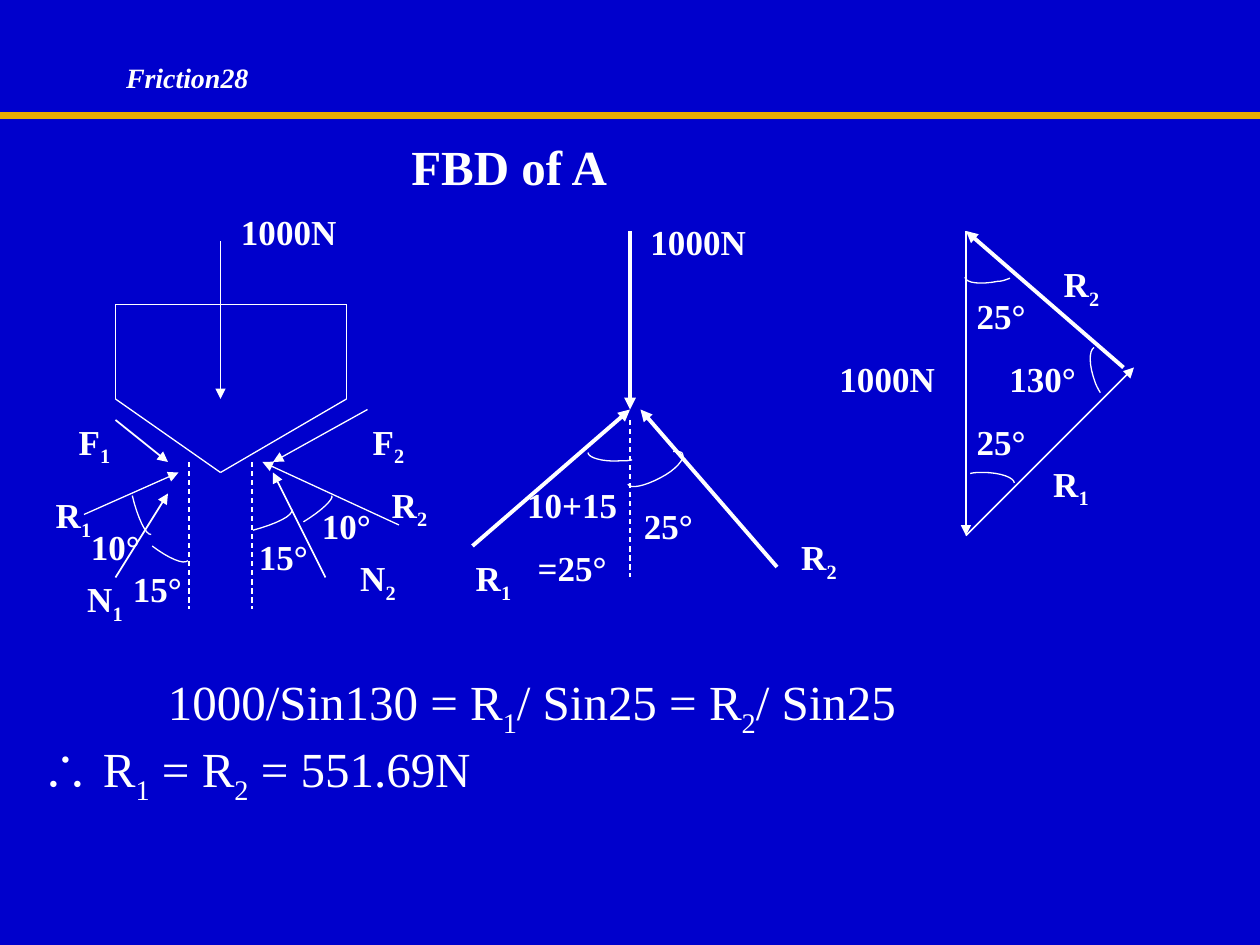
from lxml import etree
from pptx import Presentation
from pptx.dml.color import RGBColor
from pptx.enum.dml import MSO_LINE
from pptx.enum.shapes import MSO_CONNECTOR
from pptx.enum.text import MSO_ANCHOR, MSO_AUTO_SIZE, PP_ALIGN
from pptx.oxml.ns import qn
from pptx.util import Cm, Pt

STRAIGHT = MSO_CONNECTOR.STRAIGHT
DASH = MSO_LINE.DASH
LEFT, CENTER = PP_ALIGN.LEFT, PP_ALIGN.CENTER
COLORS = {"background": "0000CC", "ink": "FFFFFF", "rule": "E8AB00"}
FONT = "Times New Roman"
GRID = Cm(2.54) / 12  # every position below counts in twelfths of an inch
THIN, MEDIUM, THICK = 0.75, 1, 2.25

TITLE = "FBD of A"
HEADER = "Friction28"
# An underscore lowers the character that follows it
EQUATION = ["1000/Sin130 = R_1/ Sin25 = R_2/ Sin25", "∴ R_1 = R_2 = 551.69N"]

WEDGE = [(11, 38), (11, 29), (33, 29), (33, 38), (21, 45)]

# start, end, width
ARROWS = [
    ((21, 23), (21, 38), THIN),
    ((8, 49), (17, 45), THIN),
    ((38, 50), (25, 44), THIN),
    ((35, 39), (26, 44), THIN),
    ((11, 40), (16, 44), MEDIUM),
    ((31, 55), (26, 45), MEDIUM),
    ((11, 55), (11, 55), MEDIUM),
    ((11, 55), (16, 47), MEDIUM),
    ((60, 22), (60, 39), THICK),
    ((45, 52), (60, 39), THICK),
    ((74, 54), (61, 39), THICK),
    ((107, 35), (92, 22), THICK),
    ((92, 51), (108, 35), MEDIUM),
    ((92, 22), (92, 51), MEDIUM),
]
VERTICALS = [(18, 44, 58), (24, 44, 58), (60, 40, 55)]  # x, top, bottom

# Angle marks: a start point, then three points for each cubic curve
ARCS = [
    [(14.4, 50.9), (13.9, 51), (13.1, 49.3), (12.6, 47.2)],
    [(17.9, 53.4), (17.5, 53.8), (16.1, 53.2), (14.5, 52)],
    [(27.8, 48.5), (28, 49.1), (26.3, 49.9), (24.1, 50.5)],
    [(31.6, 47.2), (31.8, 47.5), (30.7, 48.6), (28.9, 49.7)],
    [(56, 43.1), (56, 43.6), (57.4, 44), (59, 43.9),
     (59.4, 43.9), (59.9, 43.9), (60.2, 43.8)],
    [(59.8, 46.1), (60, 46.6), (61.4, 46.3), (62.9, 45.5),
     (64.3, 44.8), (65.3, 43.7), (65, 43.2),
     (64.9, 43), (64.6, 43), (64.1, 43)],
    [(96.6, 46), (96.6, 45.5), (95.3, 45), (93.6, 45),
     (93.2, 45), (92.8, 45), (92.4, 45.1)],
    [(91.9, 26.4), (92, 27), (93.5, 27.1), (95, 26.8),
     (95.5, 26.8), (95.9, 26.6), (96.2, 26.5)],
    [(104.2, 33.1), (103.7, 33.4), (103.7, 34.8), (104.3, 36.4),
     (104.4, 36.7), (104.6, 37.1), (104.8, 37.4)],
]

# left, top, width, lines
LABELS = [
    (22, 20, 11, ["1000N"]),
    (12, 54, 6, ["15°"]),
    (8, 50, 6, ["10°"]),
    (24, 51, 6, ["15°"]),
    (30, 48, 6, ["10°"]),
    (33, 53, 6, ["N_2"]),
    (36, 46, 6, ["R_2"]),
    (34, 40, 6, ["F_2"]),
    (6, 40, 6, ["F_1"]),
    (4, 47, 6, ["R_1"]),
    (7, 55, 6, ["N_1"]),
    (61, 21, 11, ["1000N"]),
    (44, 53, 6, ["R_1"]),
    (75, 51, 6, ["R_2"]),
    (49, 46, 11, ["10+15", "=25°"]),
    (61.3, 48, 4.7, ["25°"]),
    (79, 34, 11, ["1000N"]),
    (93, 40, 4.7, ["25°"]),
    (93, 28, 4.7, ["25°"]),
    (96.1, 34, 6.4, ["130°"]),
    (99, 44, 6, ["R_1"]),
    (100, 25, 6, ["R_2"]),
]


def grid(value):
    return round(value * GRID)


def color(name):
    return RGBColor.from_string(COLORS[name])


def add_line(slide, start, end, width, ink="ink", dashed=False, arrow=False):
    line = slide.shapes.add_connector(STRAIGHT, *map(grid, start + end))
    line.line.color.rgb = color(ink)
    line.line.width = Pt(width)
    if dashed:
        line.line.dash_style = DASH
    properties = line._element.spPr
    if arrow:
        etree.SubElement(properties.find(qn("a:ln")), qn("a:tailEnd"), type="triangle")
    etree.SubElement(properties, qn("a:effectLst"))


def curve_points(points, steps=8):
    """Sample a chain of cubic curves, leaving out its start point."""
    for first in range(0, len(points) - 1, 3):
        for step in range(1, steps + 1):
            t = step / steps
            weights = ((1 - t) ** 3, 3 * t * (1 - t) ** 2, 3 * t * t * (1 - t), t ** 3)
            yield tuple(
                grid(sum(weight * point[axis]
                         for weight, point in zip(weights, points[first:first + 4])))
                for axis in (0, 1))


def add_arc(slide, points):
    builder = slide.shapes.build_freeform(*map(grid, points[0]))
    builder.add_line_segments(curve_points(points), close=False)
    arc = builder.convert_to_shape()
    arc.shadow.inherit = False
    arc.fill.background()
    arc.line.color.rgb = color("ink")
    arc.line.width = Pt(THIN)


def write(shape, box, lines, size, align=CENTER, bold=True, italic=False, gap=0):
    """Place a text shape and fill it, one paragraph for each line."""
    shape.left, shape.top, shape.width, shape.height = map(grid, box)
    frame = shape.text_frame
    frame.margin_left = frame.margin_right = frame.margin_top = frame.margin_bottom = 0
    frame.word_wrap = True
    frame.auto_size = MSO_AUTO_SIZE.NONE
    frame.vertical_anchor = MSO_ANCHOR.TOP
    for index, line in enumerate(lines):
        paragraph = frame.add_paragraph() if index else frame.paragraphs[0]
        paragraph.alignment = align
        paragraph.space_before = Pt(gap if index else 0)
        head, *tails = line.split("_")
        pieces = [(head, False)]
        for tail in tails:
            pieces += [(tail[0], True), (tail[1:], False)]
        for text, lowered in pieces:
            if not text:
                continue
            run = paragraph.add_run()
            run.text = text
            run.font.name = "Arial" if text == "∴" else FONT
            run.font.size = Pt(size)
            run.font.bold = bold
            run.font.italic = italic
            run.font.color.rgb = color("ink")
            if lowered:
                run._r.get_or_add_rPr().set("baseline", "-25000")


def add_text(slide, box, lines, size, **style):
    shape = slide.shapes.add_textbox(0, 0, 0, 0)
    write(shape, box, lines, size, **style)
    return shape


def main():
    presentation = Presentation()
    presentation.slide_width, presentation.slide_height = Cm(25.4), Cm(19.05)
    slide = presentation.slides.add_slide(presentation.slide_layouts[5])
    slide.background.fill.solid()
    slide.background.fill.fore_color.rgb = color("background")

    add_line(slide, (0, 11), (120, 11), 4.5, ink="rule")
    write(slide.shapes.title, (33, 13, 31, 5.6), [TITLE], 28)
    add_text(slide, (12, 5.8, 20, 3.2), [HEADER], 16, align=LEFT, italic=True)

    for start, end in zip(WEDGE, WEDGE[1:] + WEDGE[:1]):
        add_line(slide, start, end, THIN)
    for x, top, bottom in VERTICALS:
        add_line(slide, (x, top), (x, bottom), THIN, dashed=True)
    for start, end, width in ARROWS:
        add_line(slide, start, end, width, arrow=True)
    for points in ARCS:
        add_arc(slide, points)
    for left, top, width, lines in LABELS:
        height = 4.5 if "_" in lines[0] else 4 if len(lines) == 1 else 10
        add_text(slide, (left, top, width, height), lines, 20, gap=12.5)

    equation = add_text(slide, (4, 64, 89, 12.7), EQUATION, 28, align=LEFT, bold=False)
    first_line = equation.text_frame.paragraphs[0]._p.get_or_add_pPr()
    first_line.set("marL", str(Cm(2.54)))

    presentation.save("out.pptx")


if __name__ == "__main__":
    main()
